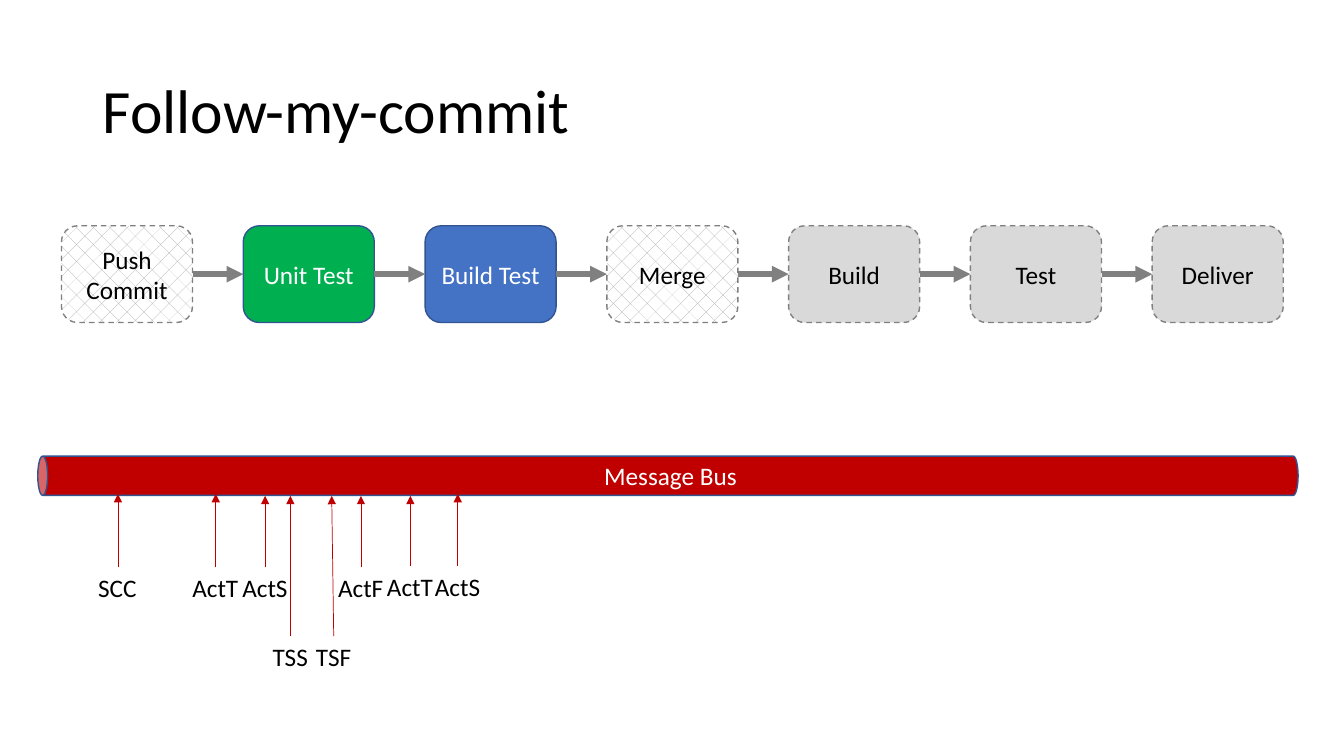
from lxml.etree import SubElement
from pptx import Presentation
from pptx.dml.color import RGBColor
from pptx.enum.dml import MSO_LINE, MSO_PATTERN
from pptx.enum.shapes import MSO_CONNECTOR, MSO_SHAPE
from pptx.enum.text import MSO_ANCHOR, MSO_AUTO_SIZE, PP_ALIGN
from pptx.oxml.ns import qn
from pptx.util import Inches, Pt

COLORS = {
    "black": "000000", "white": "FFFFFF", "green": "00B050", "blue": "4472C4",
    "navy": "325491", "gray": "808080", "light": "D9D9D9", "hatch": "A6A6A6",
    "red": "C00000",
}

# text, style
STAGES = [
    ("Push\nCommit", "manual"), ("Unit Test", "passed"), ("Build Test", "running"),
    ("Merge", "manual"), ("Build", "pending"), ("Test", "pending"), ("Deliver", "pending"),
]
# fill (None is hatched), line, dashed, text colour
STAGE_STYLES = {
    "manual": (None, "gray", True, "black"),
    "passed": ("green", "navy", False, "white"),
    "running": ("blue", "navy", False, "white"),
    "pending": ("light", "gray", True, "black"),
}
STAGE_LEFT, STAGE_TOP, STAGE_W, STAGE_H, STAGE_PITCH = 0.61, 2.24, 1.3, 0.96, 1.803

# text, x and y where the arrow starts, x and y of its head, label width
EVENTS = [
    ("SCC", 1.17, 5.63, 1.17, 4.9, 0.59),
    ("ActT", 2.14, 5.63, 2.14, 4.9, 0.66),
    ("ActS", 2.63, 5.63, 2.63, 4.92, 0.65),
    ("ActF", 3.58, 5.63, 3.58, 4.92, 0.65),
    ("ActT", 4.07, 5.62, 4.07, 4.92, 0.66),
    ("ActS", 4.54, 5.62, 4.54, 4.9, 0.65),
    ("TSS", 2.88, 6.31, 2.88, 4.92, 0.55),
    ("TSF", 3.31, 6.31, 3.29, 4.92, 0.55),
]


def rgb(name):
    return RGBColor.from_string(COLORS[name])


def write(tf, text, color="black", size=18, align=PP_ALIGN.LEFT):
    p = tf.paragraphs[0]
    p.text = text
    p.alignment = align
    for r in p.runs:
        for name, value in {"name": "Calibri", "size": Pt(size)}.items():
            setattr(r.font, name, value)
        r.font.color.rgb = rgb(color)
    return p


def add_box(s, kind, box, text, fill, line, dashed, color):
    """Add an outlined shape with centred text; without a fill it is hatched."""
    sp = s.shapes.add_shape(kind, *map(Inches, box))
    sp.shadow.inherit = False
    if fill:
        sp.fill.solid()
        sp.fill.fore_color.rgb = rgb(fill)
    else:
        sp.fill.patterned()
        sp.fill.pattern = MSO_PATTERN.DOTTED_DIAMOND
        sp.fill.fore_color.rgb = rgb("hatch")
        sp.fill.back_color.rgb = rgb("white")
    sp.line.color.rgb = rgb(line)
    sp.line.width = Pt(1)
    if dashed:
        sp.line.dash_style = MSO_LINE.DASH
    sp.text_frame.vertical_anchor = MSO_ANCHOR.MIDDLE
    write(sp.text_frame, text, color, align=PP_ALIGN.CENTER)
    return sp


def add_arrow(s, start, end, color, width):
    arrow = s.shapes.add_connector(MSO_CONNECTOR.STRAIGHT, *map(Inches, start + end))
    arrow.line.color.rgb = rgb(color)
    arrow.line.width = Pt(width)
    SubElement(arrow.line._get_or_add_ln(), qn("a:tailEnd"), type="triangle")
    SubElement(arrow._element.spPr, qn("a:effectLst"))
    return arrow


def add_title(s, text):
    tf = s.shapes.add_textbox(*map(Inches, (0.92, 0.4, 11.5, 1.45))).text_frame
    tf.word_wrap = True
    tf.vertical_anchor = MSO_ANCHOR.MIDDLE
    write(tf, text, size=44).line_spacing = 0.9


def add_pipeline(s):
    stages = []
    for i, (text, style) in enumerate(STAGES):
        box = (STAGE_LEFT + i * STAGE_PITCH, STAGE_TOP, STAGE_W, STAGE_H)
        stages.append(add_box(s, MSO_SHAPE.ROUNDED_RECTANGLE, box, text, *STAGE_STYLES[style]))
    for before, after in zip(stages, stages[1:]):
        arrow = add_arrow(s, (0, 0), (1, 0), "gray", 4)
        arrow.begin_connect(before, 3)
        arrow.end_connect(after, 1)


def add_bus(s):
    """Add the bus as an upright can turned on its side, its text turned back."""
    bus = add_box(s, MSO_SHAPE.CAN, (6.43, -1.53, 0.39, 12.5), "Message Bus",
                  "red", "navy", False, "white")
    bus.rotation = 270
    bus.text_frame._txBody.bodyPr.set("vert", "vert")


def add_event(s, text, x, y, head_x, head_y, width):
    add_arrow(s, (x, y), (head_x, head_y), "red", 0.5)
    label = s.shapes.add_textbox(*map(Inches, (x - width / 2, y, width, 0.4)))
    label.text_frame.word_wrap = False
    label.text_frame.auto_size = MSO_AUTO_SIZE.SHAPE_TO_FIT_TEXT
    write(label.text_frame, text)


def main():
    prs = Presentation()
    prs.slide_width, prs.slide_height = Inches(13.33), Inches(7.5)
    s = prs.slides.add_slide(prs.slide_layouts[6])
    add_title(s, "Follow-my-commit")
    add_pipeline(s)
    add_bus(s)
    for event in EVENTS:
        add_event(s, *event)
    prs.save("out.pptx")


if __name__ == "__main__":
    main()
